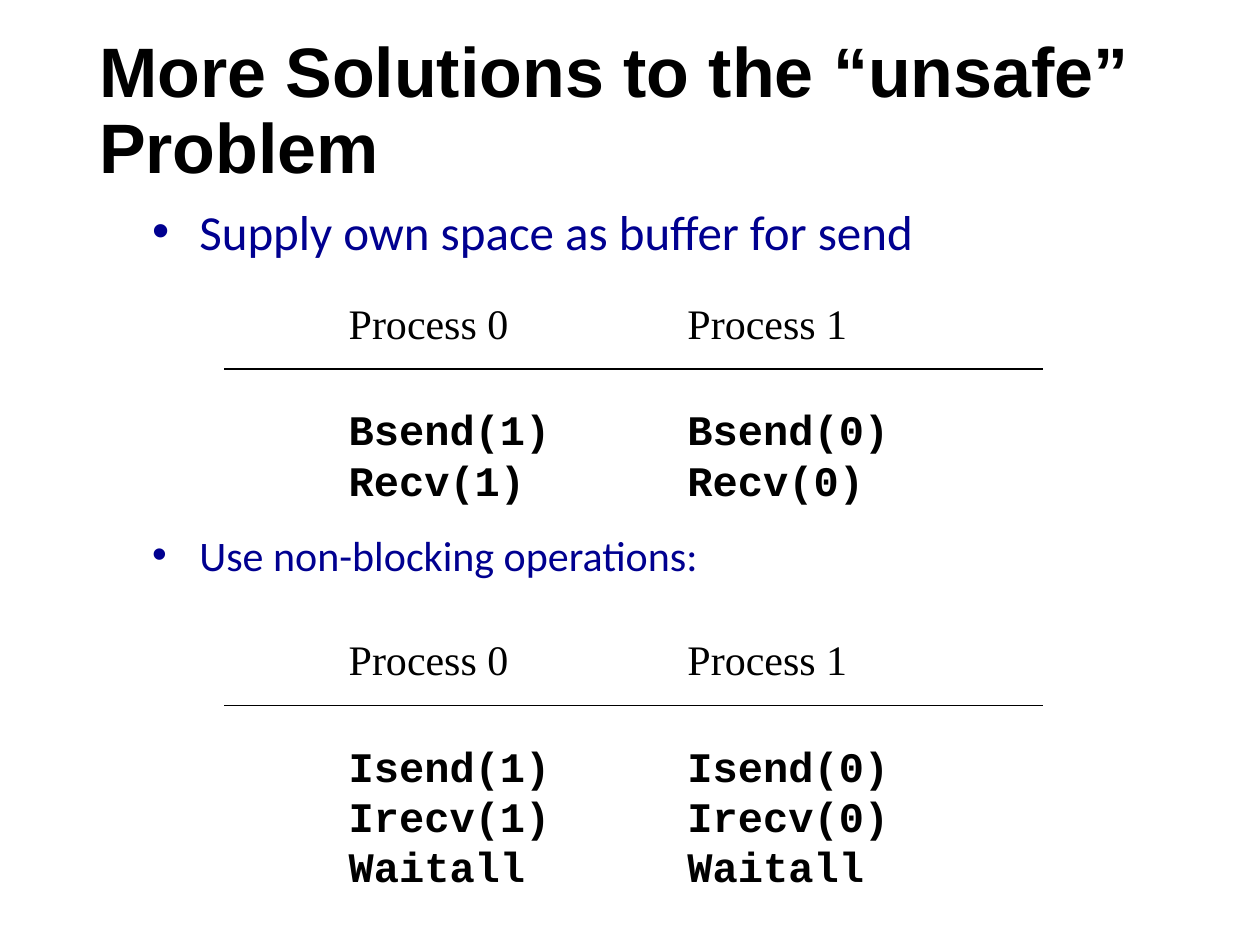
from dataclasses import dataclass
from typing import Any

from lxml.etree import SubElement
from pptx import Presentation
from pptx.dml.color import RGBColor
from pptx.enum.shapes import MSO_CONNECTOR
from pptx.enum.text import MSO_ANCHOR, PP_ALIGN
from pptx.oxml.ns import qn
from pptx.util import Cm, Pt

BLACK = "000000"
NAVY = "000090"
COLUMN_LEFTS = (6.78, 13.61)
COLUMN_WIDTH = 4.57
LINE_HEIGHT = 1.02
RULE_OFFSET = 1.57
RULE_LEFT, RULE_RIGHT = 4.52, 21.03

TITLE_FONT = {"name": "Arial", "size": Pt(40), "bold": True}
HEADER_FONT = {"name": "Times New Roman", "size": Pt(24), "bold": False}
CODE_FONT = {"name": "Courier New", "size": Pt(24), "bold": True}


@dataclass
class Bullet:
    text: str
    top: float
    height: float
    size: int
    spacing: float


@dataclass
class Listing:
    top: float
    columns: tuple[tuple[str, ...], ...]


BULLETS = (
    Bullet("Supply own space as buffer for send", 4.17, 1.12, 28, 0.8),
    Bullet("Use non-blocking operations:", 10.54, 1.47, 24, 1.0),
)
LISTINGS = (
    Listing(5.87, (("Bsend(1)", "Recv(1)"), ("Bsend(0)", "Recv(0)"))),
    Listing(12.65, (("Isend(1)", "Irecv(1)", "Waitall"),
                    ("Isend(0)", "Irecv(0)", "Waitall"))),
)


def rgb(value: str) -> RGBColor:
    return RGBColor.from_string(value)


def apply(target: Any, values: dict[str, Any]) -> None:
    for name, value in values.items():
        setattr(target, name, value)


def add_box(shapes: Any, left: float, top: float, width: float,
            height: float, wrap: bool = True) -> Any:
    tf = shapes.add_textbox(Cm(left), Cm(top), Cm(width), Cm(height)).text_frame
    tf.word_wrap = wrap
    return tf


def write(p: Any, text: str, font: dict[str, Any], color: str,
          layout: dict[str, Any]) -> None:
    apply(p, {"alignment": PP_ALIGN.LEFT, **layout})
    r = p.add_run()
    r.text = text
    apply(r.font, font)
    r.font.color.rgb = rgb(color)


def add_bullet(shapes: Any, bullet: Bullet) -> None:
    p = add_box(shapes, 2.82, bullet.top, 22.2, bullet.height).paragraphs[0]
    pPr = p._p.get_or_add_pPr()
    pPr.set("marL", str(Cm(0.95)))
    pPr.set("indent", str(-Cm(0.95)))
    SubElement(pPr, qn("a:buFont")).set("typeface", "Arial")
    SubElement(pPr, qn("a:buChar")).set("char", "•")
    write(p, bullet.text, {"name": "Calibri", "size": Pt(bullet.size)}, NAVY,
          {"line_spacing": bullet.spacing})


def add_rule(shapes: Any, top: float) -> None:
    s = shapes.add_connector(MSO_CONNECTOR.STRAIGHT, Cm(RULE_LEFT), Cm(top),
                             Cm(RULE_RIGHT), Cm(top))
    s.line.color.rgb = rgb(BLACK)
    s.line.width = Pt(1)
    SubElement(s._element.spPr, qn("a:effectLst"))


def add_listing(shapes: Any, listing: Listing) -> None:
    group = shapes.add_group_shape().shapes
    for number, (left, calls) in enumerate(zip(COLUMN_LEFTS, listing.columns)):
        height = LINE_HEIGHT * (len(calls) + 2) + 0.25
        tf = add_box(group, left, listing.top, COLUMN_WIDTH, height, wrap=False)
        layout = {"line_spacing": Pt(28.8)}
        write(tf.paragraphs[0], f"Process {number}", HEADER_FONT, BLACK, layout)
        for i, call in enumerate(calls):
            gap = {"space_before": Pt(0 if i else 32)}
            write(tf.add_paragraph(), call, CODE_FONT, BLACK, {**layout, **gap})
    add_rule(group, listing.top + RULE_OFFSET)


def main() -> None:
    prs = Presentation()
    apply(prs, {"slide_width": Cm(25.4), "slide_height": Cm(19.05)})
    shapes = prs.slides.add_slide(prs.slide_layouts[6]).shapes

    tf = add_box(shapes, 1.75, 0.43, 21.9, 3.68)
    tf.vertical_anchor = MSO_ANCHOR.MIDDLE
    write(tf.paragraphs[0], "More Solutions to the “unsafe” Problem",
          TITLE_FONT, BLACK, {"line_spacing": 0.9})

    for bullet in BULLETS:
        add_bullet(shapes, bullet)
    for listing in LISTINGS:
        add_listing(shapes, listing)
    prs.save("out.pptx")


if __name__ == "__main__":
    main()
